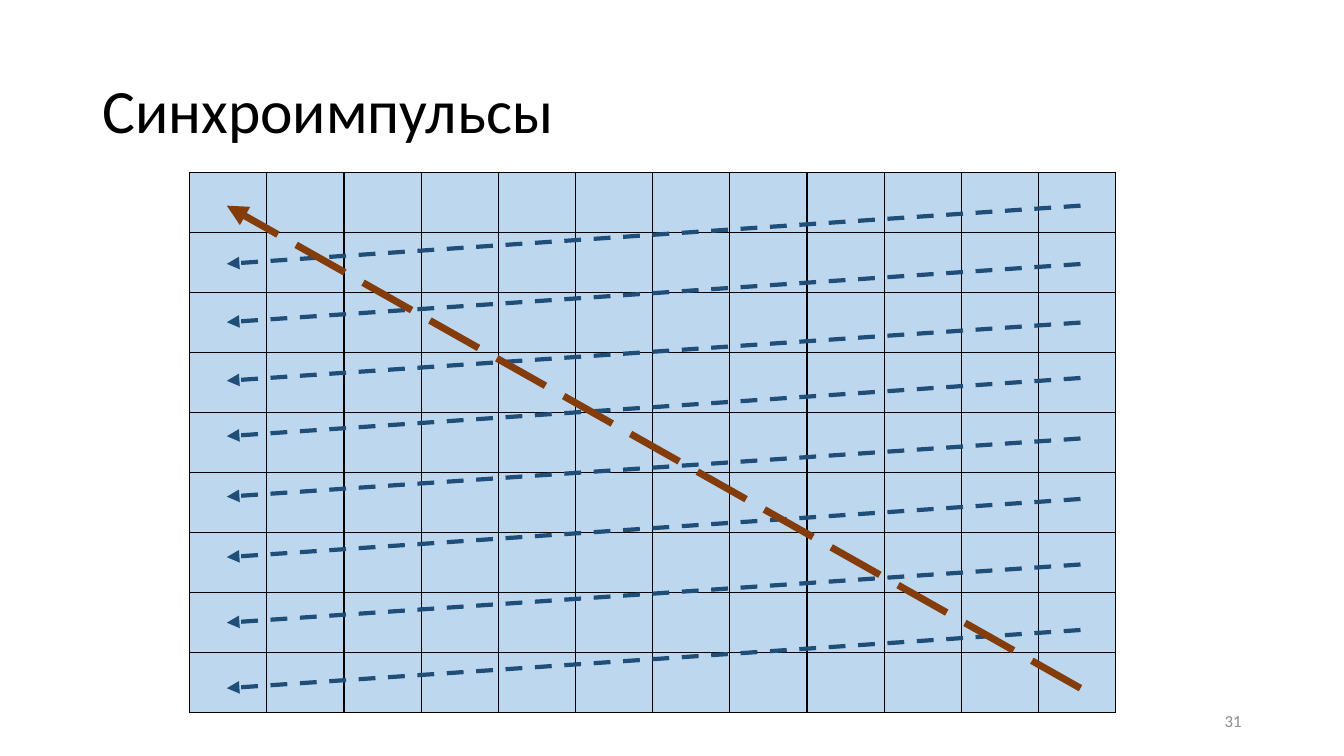
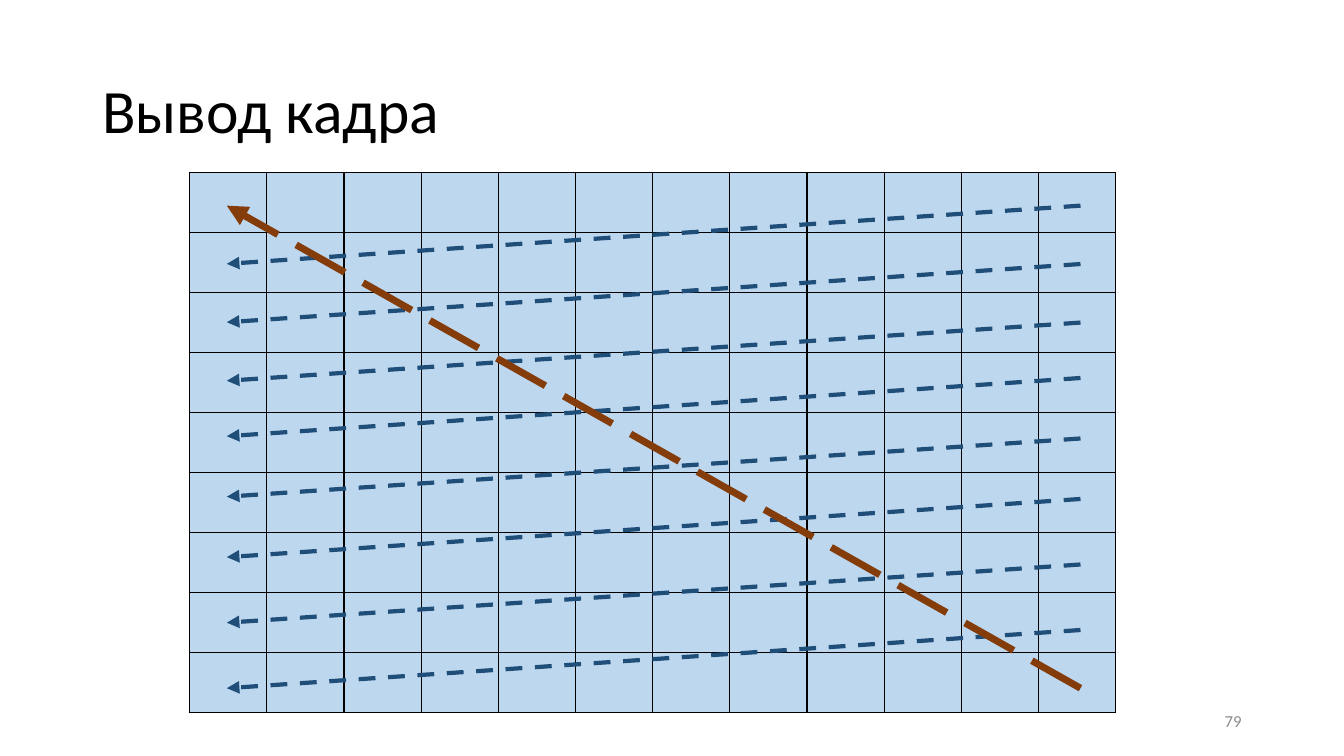
from pptx import Presentation
from pptx.dml.color import RGBColor
from pptx.enum.dml import MSO_LINE
from pptx.enum.shapes import MSO_CONNECTOR as CONNECTOR
from pptx.enum.text import MSO_ANCHOR as ANCHOR, MSO_AUTO_SIZE as AUTO_SIZE, PP_ALIGN as ALIGN
from pptx.oxml import parse_xml
from pptx.oxml.ns import nsdecls, qn
from pptx.util import Pt

FONT = "Calibri"
BLACK, GRAY = "000000", "8C8C8C"
CELL_BLUE, SCAN_BLUE, RETURN_BROWN = "BDD7EE", "1F4E79", "843C0B"

COLUMNS, ROWS = 12, 9
SCAN_RIGHT, SCAN_LEFT, SCAN_DROP = 771.8, 162, 41.6
SCAN_TOPS = [146.9, 188.6, 230.4, 270, 313.2, 356.4, 403.2, 450]


def color(value):
    return RGBColor.from_string(value)


def element(tag, attributes="", content=""):
    return parse_xml(f"<a:{tag} {nsdecls('a')} {attributes}>{content}</a:{tag}>")


class Deck:
    def __init__(self):
        self.presentation = Presentation()
        self.presentation.slide_width = Pt(960)
        self.presentation.slide_height = Pt(540)
        self.slide = None

    def add_slide(self, title, number):
        layout = self.presentation.slide_layouts.get_by_name("Title Only")
        self.slide = self.presentation.slides.add_slide(layout)
        self.title(title)
        self.grid(135.4, 123.2, 55.14, 42.84)
        for top in SCAN_TOPS:
            self.arrow((SCAN_RIGHT, top), (SCAN_LEFT, top + SCAN_DROP),
                       SCAN_BLUE, 3, MSO_LINE.DASH)
        self.arrow((SCAN_RIGHT, SCAN_TOPS[-1] + SCAN_DROP), (SCAN_LEFT, SCAN_TOPS[0]),
                   RETURN_BROWN, 5, MSO_LINE.LONG_DASH)
        self.page_number(number)

    def fill_text(self, shape, text, size, text_color, align):
        frame = shape.text_frame
        frame.text = text
        frame.word_wrap = True
        frame.auto_size = AUTO_SIZE.NONE
        frame.vertical_anchor = ANCHOR.MIDDLE
        paragraph = frame.paragraphs[0]
        paragraph.alignment = align
        font = paragraph.runs[0].font
        font.name, font.size = FONT, Pt(size)
        font.color.rgb = color(text_color)
        return paragraph

    def title(self, text):
        shape = self.slide.shapes.title
        shape.left, shape.top = Pt(66), Pt(28.75)
        shape.width, shape.height = Pt(828), Pt(104.4)
        self.fill_text(shape, text, 44, BLACK, ALIGN.LEFT).line_spacing = 0.9

    def page_number(self, number):
        shape = self.slide.shapes.add_textbox(Pt(678), Pt(500.5), Pt(216), Pt(28.75))
        self.fill_text(shape, str(number), 12, GRAY, ALIGN.RIGHT)

    def grid(self, left, top, column_width, row_height):
        frame = self.slide.shapes.add_table(
            ROWS, COLUMNS, Pt(left), Pt(top),
            Pt(column_width * COLUMNS), Pt(row_height * ROWS))
        table = frame.table
        for column in table.columns:
            column.width = Pt(column_width)
        for row in table.rows:
            row.height = Pt(row_height)
        for cell in table.iter_cells():
            cell.fill.solid()
            cell.fill.fore_color.rgb = color(CELL_BLUE)
        for properties in frame.element.iter(qn("a:tcPr")):
            self.cell_borders(properties, BLACK, 1)

    def cell_borders(self, properties, line_color, width):
        fill = f'<a:solidFill><a:srgbClr val="{line_color}"/></a:solidFill>'
        for position, tag in enumerate(("lnL", "lnR", "lnT", "lnB")):
            properties.insert(position, element(tag, f'w="{Pt(width)}"', fill))

    def arrow(self, start, end, line_color, width, dash):
        connector = self.slide.shapes.add_connector(
            CONNECTOR.STRAIGHT, *map(Pt, start + end))
        line = connector.line
        line.color.rgb = color(line_color)
        line.width = Pt(width)
        line.dash_style = dash
        properties = connector.element.spPr
        properties.find(qn("a:ln")).append(element("tailEnd", 'type="triangle"'))
        properties.append(element("effectLst"))


def main():
    deck = Deck()
    deck.add_slide("Синхроимпульсы", 31)
    deck.add_slide("Вывод кадра", 79)
    deck.presentation.save("out.pptx")


if __name__ == "__main__":
    main()
